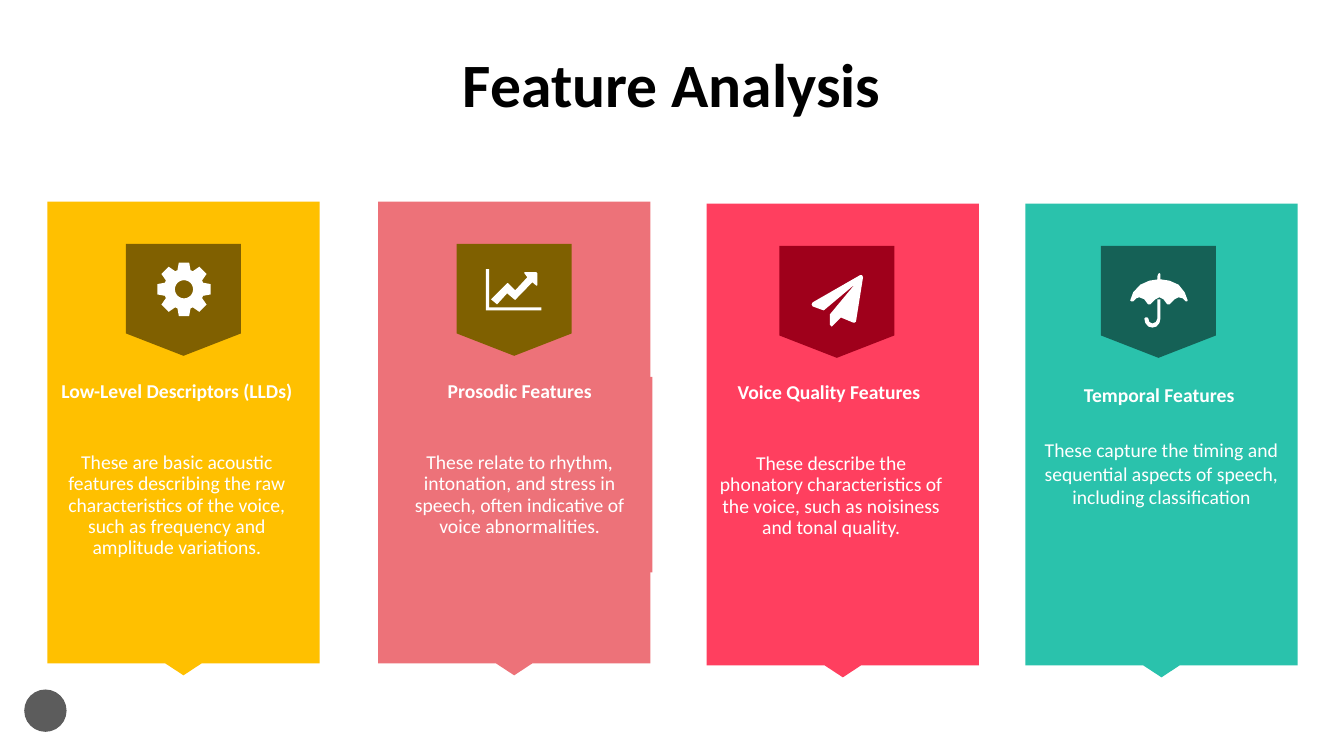
import math

import pptx
import pptx.dml.color
import pptx.enum.shapes
import pptx.enum.text
import pptx.util

# The slide is a grid of 1333 columns by 750 rows; all lengths are in cells
COLUMNS, ROWS = 1333, 750
CELL = pptx.util.Inches(0.01)
SHAPES = pptx.enum.shapes.MSO_SHAPE
CENTER = pptx.enum.text.PP_ALIGN.CENTER

COLORS = {
    "white": "FFFFFF", "black": "000000", "grey": "5C5C5C",
    "yellow": "FFC000", "brown": "806000", "coral": "ED7279", "olive": "7F6000",
    "red": "FF3F5F", "wine": "9F001B", "teal": "2AC2AC", "pine": "156156",
}
HEADING = {"name": "Calibri", "size": pptx.util.Pt(14), "bold": True}
BODY = {**HEADING, "bold": False}
TITLE = {**HEADING, "size": pptx.util.Pt(44)}

PANEL_SIZE = (270, 470)
BADGE_SIZE = (114, 111)
CALLOUT = (0.25, 0.067, 0.044, 0.975)


def ring(center, radii, angles):
    """Points around a center, one for each pair of radius and angle."""
    x, y = center
    return [(x + r * math.cos(a), y + r * math.sin(a)) for r, a in zip(radii, angles)]


def gear():
    center, teeth = (57.5, 45), 8
    profile = [(20, -0.33), (27, -0.19), (27, 0.19), (20, 0.33)]
    points = [(r, a + tooth * math.tau / teeth)
              for tooth in range(teeth) for r, a in profile]
    hole = [(9, -step * math.tau / 32) for step in range(32)]
    return [ring(center, *zip(*points)), ring(center, *zip(*hole))]


# Icon outlines, in cells from the corner of their badge
CHART_ICON = [
    [(84, 66), (29, 66), (29, 25), (32, 25), (32, 63), (84, 63)],
    [(80, 41), (79, 41.5), (75, 38), (58, 55.5), (57, 55), (50, 49), (40, 60),
     (34, 55), (50, 39), (51, 39), (58, 46), (70, 33), (67, 29), (67, 28),
     (79, 28), (80, 29)],
]
PLANE_ICON = [
    [(83, 31), (76, 75), (75, 76), (73, 76), (61, 71), (53, 79), (52, 80),
     (50, 78), (50, 68), (75, 38), (44, 64), (33, 60), (32, 58), (33, 56),
     (80, 29), (82, 29)],
]
UMBRELLA_ICON = [
    [(84, 55), (81, 52), (77, 51), (73, 53), (69, 57), (68, 58), (66, 58),
     (65, 57), (62, 53), (58, 51), (54, 53), (50, 57), (49, 58), (47, 58),
     (46, 57), (43, 53), (38, 51), (35, 52), (32, 55), (30, 55), (29, 54),
     (32, 46), (39, 38.5), (48, 34.5), (58, 33), (68, 34.5), (77, 38.5),
     (83, 46), (86, 54), (85.5, 55)],
    [(59, 72), (58, 76.5), (55, 80), (51, 81), (47, 80), (44, 76.5), (43, 72),
     (44, 71), (46, 71), (47, 72), (48, 75.5), (51, 77), (54.5, 75.5),
     (56, 72), (56, 53), (59, 53)],
    [(56, 33), (56, 30), (57, 27.5), (58, 27), (59, 28), (59, 30), (59, 33)],
]

# Places are from the panel's corner; text is left, top, width, height
LOOSE = {"line": 1.0, "gap": 22.7}
TIGHT = {"line": 0.9, "gap": 35.4}
CARDS = [
    {"corner": (47, 200), "color": "yellow", "badge_color": "brown",
     "badge": (78, 42), "icon": gear(), "text": (-1, 174, 259, 215), "spacing": TIGHT,
     "heading": "Low-Level Descriptors (LLDs)",
     "body": "These are basic acoustic features describing the raw characteristics "
             "of the voice, such as frequency and amplitude variations."},
    {"corner": (375, 200), "color": "coral", "badge_color": "olive",
     "badge": (78, 42), "icon": CHART_ICON, "text": (9, 174, 263, 194),
     "spacing": TIGHT, "text_fill": "coral",
     "heading": "Prosodic Features",
     "body": "These relate to rhythm, intonation, and stress in speech, often "
             "indicative of voice abnormalities."},
    {"corner": (701, 202), "color": "red", "badge_color": "wine",
     "badge": (72, 42), "icon": PLANE_ICON, "text": (0, 173, 247, 194), "spacing": TIGHT,
     "heading": "Voice Quality Features ",
     "body": "These describe the phonatory characteristics of the voice, such as "
             "noisiness and tonal quality."},
    {"corner": (1017, 202), "color": "teal", "badge_color": "pine",
     "badge": (75, 42), "icon": UMBRELLA_ICON, "text": (4, 173, 262, 166),
     "spacing": LOOSE,
     "heading": "Temporal Features ",
     "body": "These capture the timing and sequential aspects of speech, "
             "including classification"},
]


def cells(*lengths):
    return [round(length * CELL) for length in lengths]


def rgb(color):
    return pptx.dml.color.RGBColor.from_string(COLORS[color])


def paint(part, color):
    part.fill.solid()
    part.fill.fore_color.rgb = rgb(color)
    part.line.fill.background()
    part.shadow.inherit = False


def add_preset(slide, preset, box, color):
    part = slide.shapes.add_shape(preset, *cells(*box))
    paint(part, color)
    return part


def write(paragraph, text, style, color, line):
    paragraph.text = text
    paragraph.alignment = CENTER
    paragraph.line_spacing = line
    for attribute, value in style.items():
        setattr(paragraph.font, attribute, value)
    paragraph.font.color.rgb = rgb(color)


def add_icon(slide, outlines, left, top):
    placed = [[cells(left + x, top + y) for x, y in outline] for outline in outlines]
    builder = slide.shapes.build_freeform(*placed[0][0])
    for index, (start, *rest) in enumerate(placed):
        if index:
            builder.move_to(*start)
        builder.add_line_segments(rest, close=True)
    paint(builder.convert_to_shape(), "white")


def add_description(slide, card, left, top):
    x, y, width, height = card["text"]
    description = slide.shapes.add_textbox(*cells(left + x, top + y, width, height))
    if "text_fill" in card:
        paint(description, card["text_fill"])
    frame = description.text_frame
    frame.word_wrap = True
    spacing = card["spacing"]
    write(frame.paragraphs[0], card["heading"], HEADING, "white", spacing["line"])
    body = frame.add_paragraph()
    write(body, card["body"], BODY, "white", spacing["line"])
    body.space_before = pptx.util.Pt(spacing["gap"])


def add_card(slide, card):
    left, top = card["corner"]
    panel = add_preset(slide, SHAPES.DOWN_ARROW_CALLOUT,
                       (left, top, *PANEL_SIZE), card["color"])
    for index, share in enumerate(CALLOUT):
        panel.adjustments[index] = share
    add_description(slide, card, left, top)
    badge_left, badge_top = left + card["badge"][0], top + card["badge"][1]
    add_preset(slide, SHAPES.FLOWCHART_OFFPAGE_CONNECTOR,
               (badge_left, badge_top, *BADGE_SIZE), card["badge_color"])
    add_icon(slide, card["icon"], badge_left, badge_top)


def add_title(slide, box):
    title = slide.shapes.title
    title.left, title.top, title.width, title.height = cells(*box)
    title.text_frame.vertical_anchor = pptx.enum.text.MSO_ANCHOR.MIDDLE
    write(title.text_frame.paragraphs[0], "Feature Analysis", TITLE, "black", 0.9)


def main():
    deck = pptx.Presentation()
    deck.slide_width, deck.slide_height = cells(COLUMNS, ROWS)
    slide = deck.slides.add_slide(deck.slide_layouts.get_by_name("Title Only"))
    # Page marker in the lower left corner
    add_preset(slide, SHAPES.OVAL, (24, 684, 42, 42), "grey")
    add_title(slide, (293, 14, 747, 145))
    for card in CARDS:
        add_card(slide, card)
    deck.save("out.pptx")


if __name__ == "__main__":
    main()
